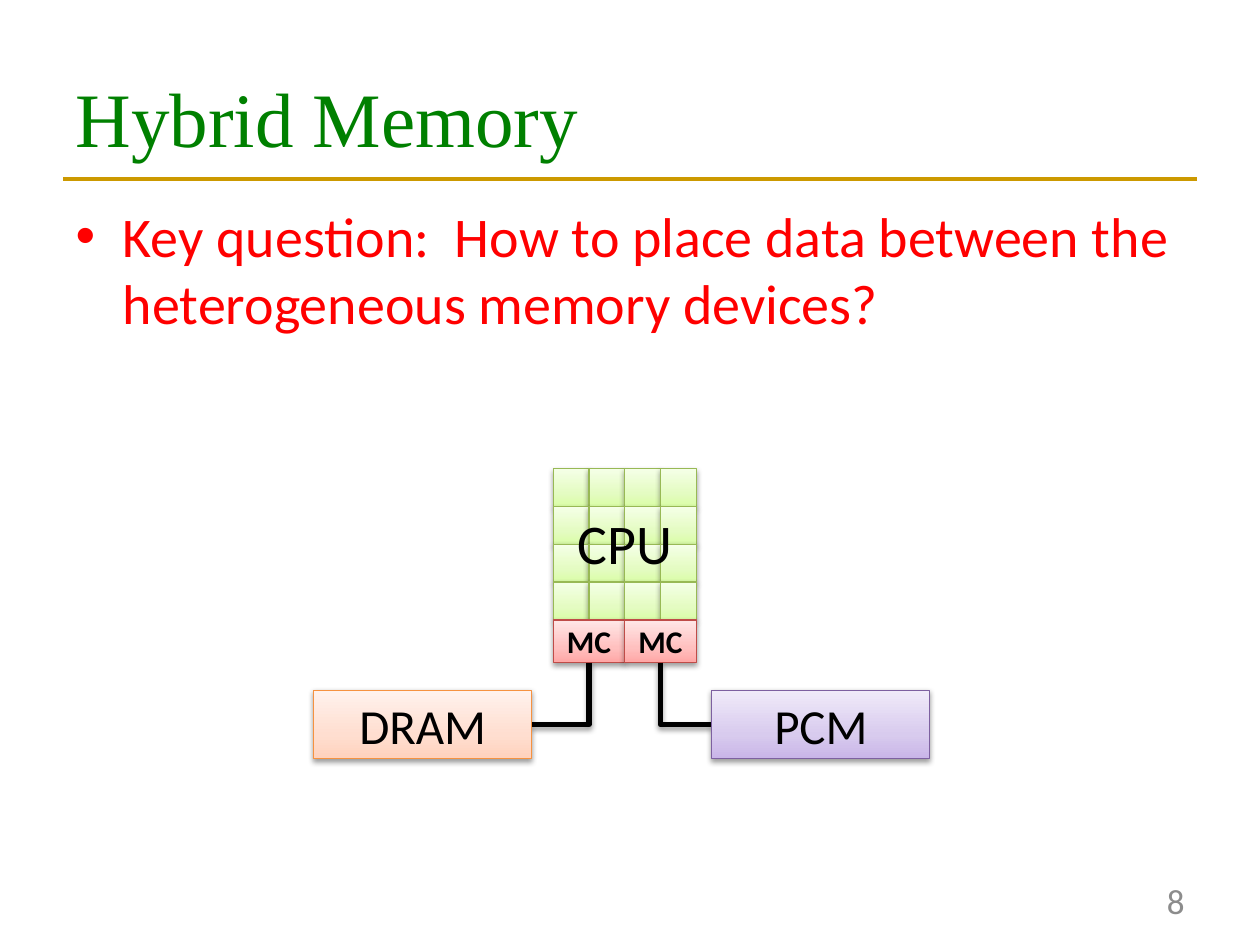
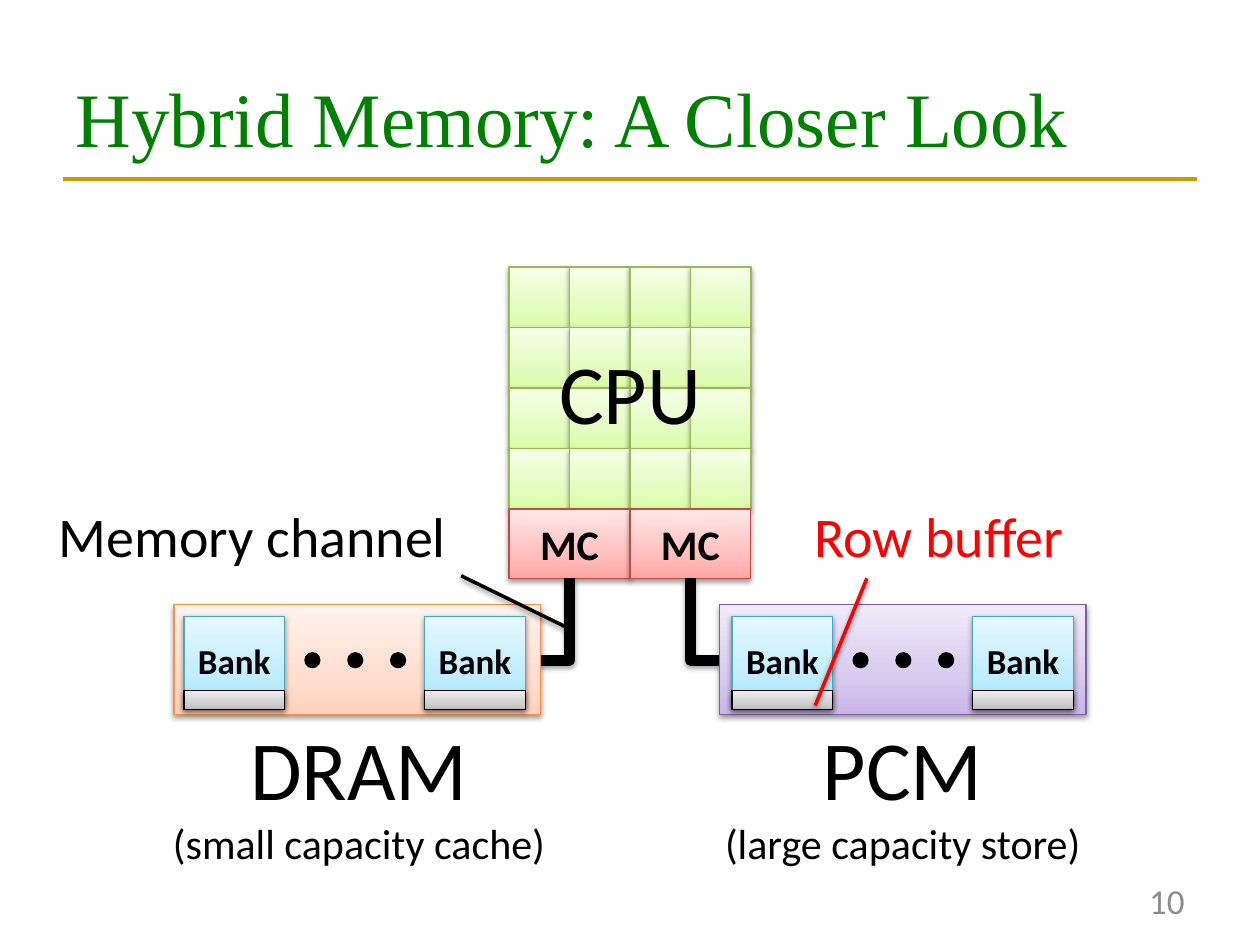
from lxml.etree import SubElement
from pptx import Presentation
from pptx.dml.color import RGBColor
from pptx.enum.shapes import MSO_CONNECTOR as Connector, MSO_SHAPE as Preset
from pptx.enum.text import MSO_ANCHOR as Anchor, PP_ALIGN as Align
from pptx.oxml.ns import qn
from pptx.util import Inches, Pt

COLORS = {
    "title": "008000",
    "rule": "CC9900",
    "text": "000000",
    "accent": "FF0000",
    "number": "8C8C8C",
}
GRADIENTS = {
    "core": ("DAFDA7", "E4FCC2", "F5FFE7", "98B955"),
    "controller": ("FFA6A5", "FFC0BF", "FFE7E7", "BF4C48"),
    "dram": ("FFD2BD", "FFDED0", "FFF2ED", "F69240"),
    "pcm": ("C9B5E8", "D8CBEE", "F0EAF9", "7D60A0"),
    "bank": ("A7E6FF", "C1EDFF", "E7F8FF", "46AAC5"),
    "buffer": ("BDBDBD", "D1D1D1", "EEEEEE", "000000"),
}
STOPS = (0, 35, 100)
COLUMNS, ROWS = 100, 75
TITLE_FONT, BODY_FONT = "Times New Roman", "Calibri"


def rgb(name):
    return RGBColor.from_string(COLORS[name])


class Deck:
    def __init__(self):
        self.presentation = Presentation()
        self.presentation.slide_width = Inches(10)
        self.presentation.slide_height = Inches(7.5)
        self.column = self.presentation.slide_width / COLUMNS
        self.row = self.presentation.slide_height / ROWS
        self.slide = None

    def grid(self, *lengths):
        units = (self.column, self.row) * 2
        return [round(length * unit) for length, unit in zip(lengths, units)]

    def place(self, shape, *box):
        shape.left, shape.top, shape.width, shape.height = self.grid(*box)

    def start(self, layout, title, number):
        layouts = self.presentation.slide_layouts
        self.slide = self.presentation.slides.add_slide(layouts.get_by_name(layout))
        heading = self.slide.shapes.title
        self.place(heading, 5, 3, 90, 12.5)
        heading.text_frame.vertical_anchor = Anchor.MIDDLE
        self.set_text(heading, title, 44, "title", Align.LEFT, font=TITLE_FONT)
        self.label(number, 71.7, 69.5, 23.3, 4, 20, "number", Align.RIGHT, Anchor.MIDDLE)

    def set_text(self, shape, text, size, color="text", align=Align.CENTER,
                 bold=None, font=BODY_FONT):
        shape.text_frame.text = text
        for paragraph in shape.text_frame.paragraphs:
            paragraph.alignment = align
            paragraph.font.name = font
            paragraph.font.size = Pt(size)
            paragraph.font.bold = bold
            paragraph.font.color.rgb = rgb(color)

    def body(self, text):
        shape = self.slide.placeholders[1]
        self.place(shape, 5, 15.5, 90, 51.5)
        self.set_text(shape, text, 32, "accent", Align.LEFT)

    def label(self, text, left, top, width, height, size, color="text",
              align=Align.CENTER, anchor=Anchor.TOP, wrap=True):
        shape = self.slide.shapes.add_textbox(*self.grid(left, top, width, height))
        shape.text_frame.word_wrap = wrap
        shape.text_frame.vertical_anchor = anchor
        self.set_text(shape, text, size, color, align)
        return shape

    def add_shadow(self, effects):
        shadow = SubElement(effects, qn("a:outerShdw"), blurRad="40000", dist="20000",
                            dir="5400000", rotWithShape="0")
        color = SubElement(shadow, qn("a:srgbClr"), val=COLORS["text"])
        SubElement(color, qn("a:alpha"), val="38000")

    def block(self, style, left, top, width, height, text="", size=None, bold=None):
        shape = self.slide.shapes.add_shape(
            Preset.RECTANGLE, *self.grid(left, top, width, height))
        *shades, outline = GRADIENTS[style]
        shape.fill.gradient()
        shape.fill.gradient_angle = 90
        stops = shape._element.spPr.find(qn("a:gradFill")).find(qn("a:gsLst"))
        stops.clear()
        for position, shade in zip(STOPS, shades):
            stop = SubElement(stops, qn("a:gs"), pos=str(position * 1000))
            SubElement(stop, qn("a:srgbClr"), val=shade)
        shape.line.color.rgb = RGBColor.from_string(outline)
        shape.line.width = Pt(0.75)
        shape.shadow.inherit = False
        self.add_shadow(shape._element.spPr.find(qn("a:effectLst")))
        if text:
            self.set_text(shape, text, size, bold=bold)

    def dot(self, left, top):
        shape = self.slide.shapes.add_shape(Preset.OVAL, *self.grid(left, top, 1, 1))
        shape.shadow.inherit = False
        shape.fill.solid()
        shape.fill.fore_color.rgb = shape.line.color.rgb = rgb("text")
        shape.line.width = Pt(2)

    def line(self, start, end, width, color="text", kind=Connector.STRAIGHT, shadow=True):
        connector = self.slide.shapes.add_connector(kind, *self.grid(*start, *end))
        connector.line.color.rgb = rgb(color)
        connector.line.width = Pt(width)
        effects = SubElement(connector._element.spPr, qn("a:effectLst"))
        if shadow:
            self.add_shadow(effects)
        return connector

    def elbow(self, start, end, width):
        across, down = abs(end[0] - start[0]), abs(end[1] - start[1])
        middle_x, middle_y = (start[0] + end[0]) / 2, (start[1] + end[1]) / 2
        connector = self.line((middle_x - down / 2, middle_y - across / 2),
                              (middle_x + down / 2, middle_y + across / 2),
                              width, kind=Connector.ELBOW)
        properties = connector._element.spPr
        properties.find(qn("a:prstGeom")).set("prst", "bentConnector2")
        frame = properties.find(qn("a:xfrm"))
        if end[0] < start[0]:
            frame.set("rot", "5400000")
        else:
            frame.set("rot", "16200000")
            frame.set("flipH", "1")

    def master_rule(self):
        rule = self.line((5, 14.2), (95, 14.2), 2.25, "rule", shadow=False)
        self.presentation.slide_master.shapes._spTree.append(rule._element)

    def chip(self, left, top, cell_width, cell_height, controller_height,
             controller_size, label_top, label_height, label_size):
        for index in range(16):
            row, column = divmod(index, 4)
            self.block("core", left + column * cell_width, top + row * cell_height,
                       cell_width, cell_height)
        self.label("CPU", left, label_top, 4 * cell_width, label_height, label_size, wrap=False)
        controller_top = top + 4 * cell_height
        for side in range(2):
            self.block("controller", left + side * 2 * cell_width, controller_top,
                       2 * cell_width, controller_height, "MC", controller_size, True)
        bottom = controller_top + controller_height
        return [(left + share * cell_width, bottom) for share in (1, 3)]

    def banked_memory(self, style, left, first_bank):
        self.block(style, left, 48, 29.1, 8.7)
        for bank_left in (first_bank, first_bank + 19.1):
            self.block("bank", bank_left, 48.9, 8, 7.1, "Bank", 20, True)
            self.block("buffer", bank_left, 54.8, 8, 1.5)
        for index in range(3):
            self.dot(first_bank + 9.7 + 3.4 * index, 51.9)

    def caption(self, name, note, left, width):
        shape = self.label(f"{name}\n{note}", left, 56.4, width, 13.1, 48, wrap=False)
        shape.text_frame.paragraphs[1].font.size = Pt(24)


deck = Deck()

deck.start("Title and Content", "Hybrid Memory", "8")
deck.master_rule()
deck.body("Key question:  How to place data between the heterogeneous memory devices?")
left_port, right_port = deck.chip(43.9, 37.2, 2.84, 3, 3.4, 18, 39.9, 6.4, 32)
deck.elbow(left_port, (42.2, 57.5), 3)
deck.elbow(right_port, (56.5, 57.5), 3)
deck.block("dram", 24.9, 54.8, 17.3, 5.4, "DRAM", 28)
deck.block("pcm", 56.5, 54.8, 17.3, 5.4, "PCM", 28)

deck.start("Title Only", "Hybrid Memory: A Closer Look", "10")
left_port, right_port = deck.chip(40.4, 21.2, 4.8, 4.8, 5.5, 24, 26.5, 9.1, 48)
deck.elbow(left_port, (42.9, 52.4), 6)
deck.elbow(right_port, (57.1, 52.4), 6)
deck.banked_memory("dram", 13.8, 14.6)
deck.banked_memory("pcm", 57.1, 58.1)
deck.caption("DRAM", "(small capacity cache)", 12.6, 31.8)
deck.caption("PCM", "(large capacity store)", 56.4, 30.5)
deck.line((45.2, 49.9), (36.6, 45.7), 2)
deck.label("Memory channel", 3.5, 39.3, 33.1, 6.4, 32, wrap=False)
deck.line((64.7, 56), (68.8, 45.9), 2, "accent")
deck.label("Row buffer", 63.5, 39.3, 22, 6.4, 32, "accent", wrap=False)

deck.presentation.save("out.pptx")
